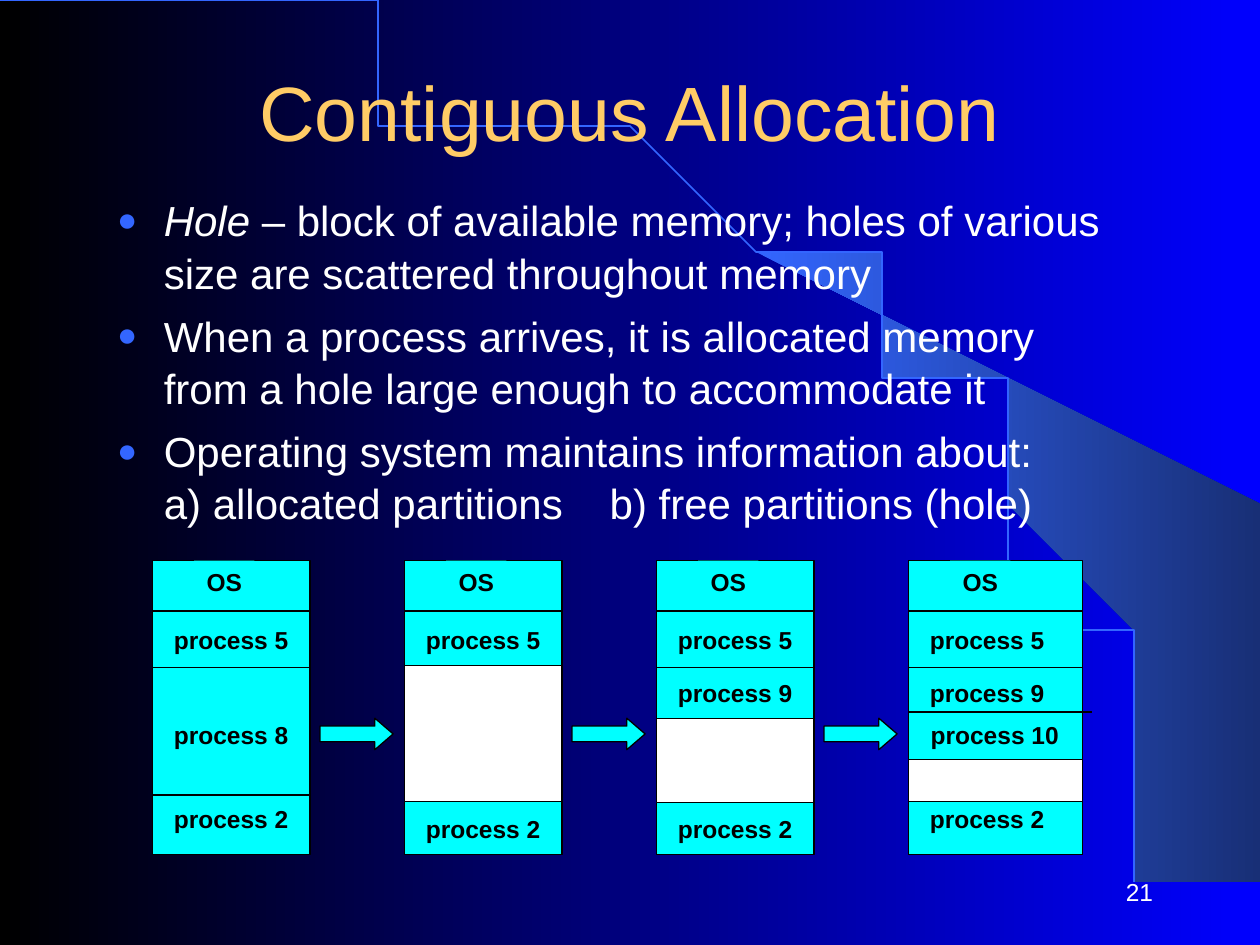
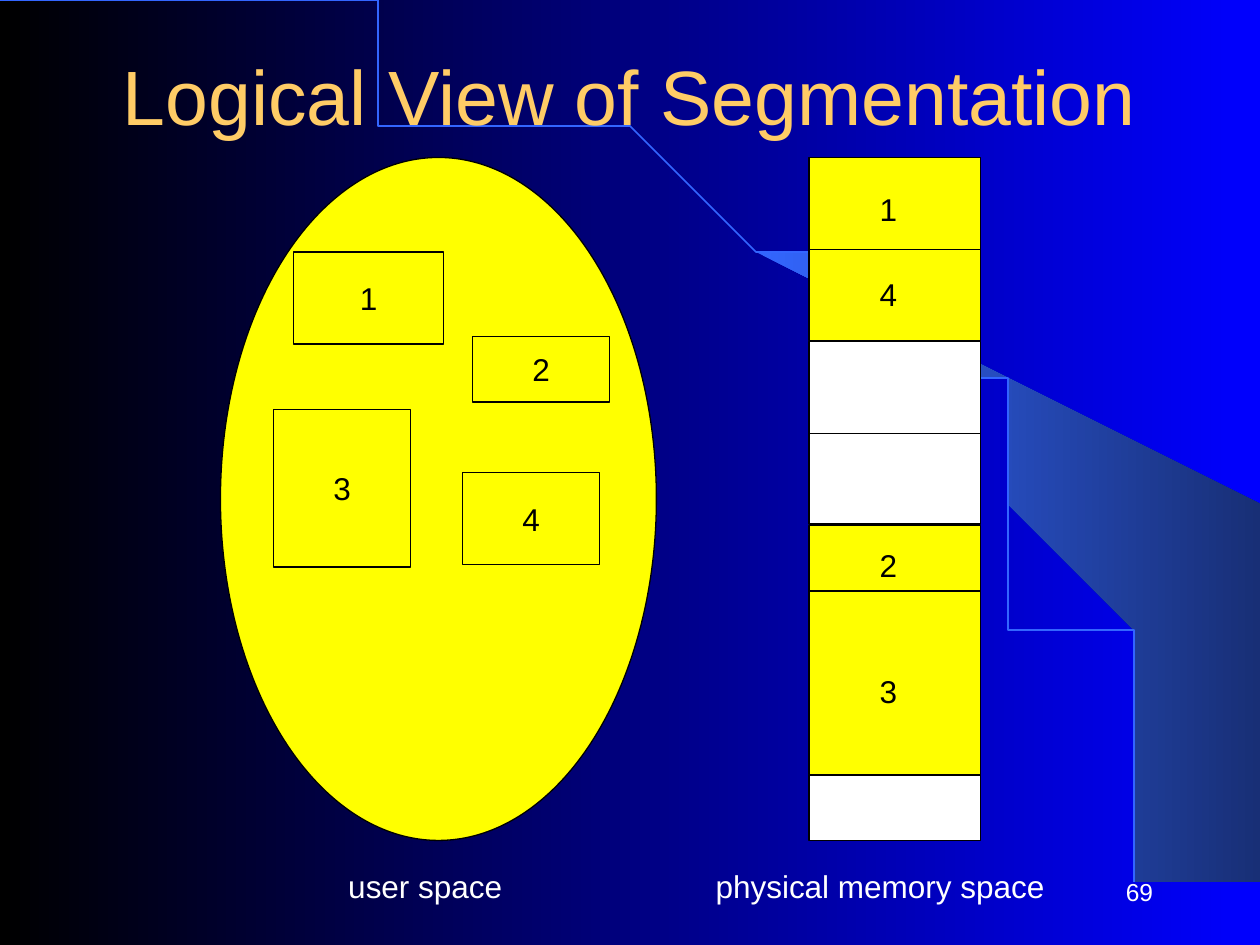
from lxml.etree import SubElement
from pptx import Presentation
from pptx.dml.color import RGBColor
from pptx.enum.shapes import MSO_CONNECTOR, MSO_SHAPE as SHAPE
from pptx.enum.text import MSO_ANCHOR as ANCHOR, MSO_AUTO_SIZE as AUTO, PP_ALIGN as ALIGN
from pptx.oxml.ns import qn
from pptx.util import Inches, Pt

COLORS = {
    "black": "000000", "white": "FFFFFF", "blue": "0000FF", "sky": "3366FF",
    "navy": "182F76", "gold": "FFCC66", "cyan": "00FFFF", "yellow": "FFFF00",
}
FONT = "Arial"
EMU_PER_INCH = Inches(1)
BEAM = [
    (9.2, 7.48), (9.98, 7.48), (9.98, 4.23), (5.89, 1.73), (6.24, 1.99), (6.53, 2.22),
    (6.85, 2.5), (7.16, 2.8), (7.62, 3.3), (8.03, 3.84), (8.32, 4.31), (8.58, 4.79),
    (8.78, 5.27), (8.93, 5.72), (9.03, 6.09), (9.12, 6.55), (9.17, 6.96),
]
ARC = [(0, 0), (5.08, 0), (9.19, 3.35), (9.19, 7.48)]

# Memory snapshots: width, dividers, process labels (name, top), hole (top, height)
SNAPSHOTS = [
    (1.25, [4.85, 5.3, 6.31],
     [("process 5", 4.91), ("process 8", 5.66), ("process 2", 6.33)], None),
    (1.25, [4.85],
     [("process 5", 4.91), ("process 2", 6.41)], (5.28, 1.08)),
    (1.25, [4.85, 5.3],
     [("process 5", 4.91), ("process 9", 5.33), ("process 2", 6.41)], (5.7, 0.67)),
    (1.38, [4.85, 5.3],
     [("process 5", 4.91), ("process 9", 5.33), ("process 10", 5.66), ("process 2", 6.33)],
     (6.03, 0.33)),
]
# Segments in user space: name, left, top, width, height
SEGMENTS = [
    ("1", 2.33, 2, 1.19, 0.73), ("3", 2.17, 3.25, 1.09, 1.25),
    ("2", 3.75, 2.67, 1.09, 0.52), ("4", 3.67, 3.75, 1.09, 0.73),
]
# Physical memory: colour, top, height, divider
BLOCKS = [
    ("yellow", 1.25, 1.45, 1.98), ("white", 2.71, 1.45, 3.44),
    ("yellow", 4.17, 1.98, 4.69), ("white", 6.15, 0.52, None),
]
PLACED = [("1", 1.46), ("4", 2.13), ("2", 4.28), ("3", 5.28)]


def rgb(name):
    return RGBColor.from_string(COLORS[name])


def box(x, y, w, h):
    return [Inches(v) for v in (x, y, w, h)]


def set_gradient(fill, start, end):
    fill.gradient()
    fill.gradient_angle = 0
    for stop, color in zip(fill.gradient_stops, (start, end)):
        stop.color.rgb = rgb(color)


def set_line(line, color="black", width=0.75):
    line.color.rgb = rgb(color)
    line.width = Pt(width)


def style_run(r, color, size, **formats):
    r.font.color.rgb = rgb(color)
    for name, value in dict(name=FONT, size=Pt(size), **formats).items():
        setattr(r.font, name, value)


def write(s, text, color, size, align=ALIGN.CENTER, wrap=False, **formats):
    tf = s.text_frame
    frame = {"auto_size": AUTO.NONE, "word_wrap": wrap, "vertical_anchor": ANCHOR.MIDDLE}
    for name, value in frame.items():
        setattr(tf, name, value)
    p = tf.paragraphs[0]
    p.alignment = align
    r = p.add_run()
    r.text = text
    style_run(r, color, size, **formats)


def add_block(slide, kind, bounds, fill, outlined=True):
    s = slide.shapes.add_shape(kind, *box(*bounds))
    s.shadow.inherit = False
    s.fill.solid()
    s.fill.fore_color.rgb = rgb(fill)
    if outlined:
        set_line(s.line)
    else:
        s.line.fill.background()
    return s


def add_label(slide, text, bounds, fill, size, **formats):
    s = add_block(slide, SHAPE.RECTANGLE, bounds, fill, outlined=False)
    write(s, text, "black", size, **formats)


def add_divider(slide, x, y, width):
    ends = [Inches(v) for v in (x, y, x + width, y)]
    s = slide.shapes.add_connector(MSO_CONNECTOR.STRAIGHT, *ends)
    set_line(s.line)
    SubElement(s.element.spPr, qn("a:effectLst"))


def add_text(slide, text, bounds, size, align=ALIGN.CENTER):
    s = slide.shapes.add_textbox(*box(*bounds))
    write(s, text, "white", size, align)


def place(s, bounds):
    s.left, s.top, s.width, s.height = box(*bounds)


def new_slide(prs, layout, title, title_height, number):
    slide = prs.slides.add_slide(prs.slide_layouts[layout])
    s = slide.shapes.title
    place(s, (0.75, 0.25, 8.5, title_height))
    write(s, title, "gold", 44, wrap=True)
    add_text(slide, number, (7.17, 6.83, 2.08, 0.5), 14, ALIGN.RIGHT)
    return slide


def arc_point(t):
    weights = ((1 - t) ** 3, 3 * t * (1 - t) ** 2, 3 * t ** 2 * (1 - t), t ** 3)
    return tuple(sum(w * pt[axis] for w, pt in zip(weights, ARC)) for axis in (0, 1))


def add_outline(slide, points, close):
    builder = slide.shapes.build_freeform(*points[0], scale=EMU_PER_INCH)
    builder.add_line_segments(points[1:], close=close)
    s = builder.convert_to_shape()
    s.shadow.inherit = False
    return s


def decorate_master(prs, slide):
    """Draw the beam and the arc, then move them to the slide master."""
    master = prs.slide_master
    set_gradient(master.background.fill, "black", "blue")
    beam = add_outline(slide, BEAM, True)
    set_gradient(beam.fill, "sky", "navy")
    beam.line.fill.background()
    arc = add_outline(slide, [arc_point(i / 60) for i in range(61)], False)
    arc.fill.background()
    set_line(arc.line, "sky", 1)
    for shape_id, s in enumerate((beam, arc), 20):
        s.element.nvSpPr.cNvPr.set("id", str(shape_id))
        master.shapes.element.append(s.element)


def set_bullet(p):
    pPr = p._p.get_or_add_pPr()
    pPr.set("marL", str(Inches(0.37)))
    pPr.set("indent", str(-Inches(0.37)))
    SubElement(SubElement(pPr, qn("a:buClr")), qn("a:srgbClr"), val=COLORS["sky"])
    SubElement(pPr, qn("a:buSzPct"), val="80000")
    SubElement(pPr, qn("a:buFont"), typeface=FONT)
    SubElement(pPr, qn("a:buChar"), char="●")


def add_bullet(p, *parts):
    """Parts are (text, formats); a None part is a line break."""
    p.space_before = Pt(6)
    p.line_spacing = 1.04
    set_bullet(p)
    for part in parts:
        if part is None:
            p.add_line_break()
            continue
        text, formats = part
        r = p.add_run()
        r.text = text
        style_run(r, "white", 24, **formats)
        if text == " ":  # wide gap between the two options
            r._r.get_or_add_rPr().set("spc", "2000")


def add_bullets(slide, items):
    s = slide.placeholders[1]
    place(s, (0.83, 1.48, 8.04, 2.85))
    tf = s.text_frame
    tf.auto_size = AUTO.NONE
    tf.vertical_anchor = ANCHOR.TOP
    for i, parts in enumerate(items):
        add_bullet(tf.add_paragraph() if i else tf.paragraphs[0], *parts)


def add_snapshot(slide, x, width, dividers, labels, hole):
    add_block(slide, SHAPE.RECTANGLE, (x, 4.45, width, 2.33), "cyan")
    for y in dividers:
        add_divider(slide, x, y, width)
    add_label(slide, "OS", (x + 0.33, 4.45, 0.48, 0.34), "cyan", 14, bold=True)
    for name, y in labels:
        label_width = 1.29 if name == "process 10" else 1.17
        add_label(slide, name, (x + 0.04, y, label_width, 0.34), "cyan", 14, bold=True)
    if hole:
        add_block(slide, SHAPE.RECTANGLE, (x, hole[0], width, hole[1]), "white")


def build_allocation(prs):
    slide = new_slide(prs, 1, "Contiguous Allocation", 1.25, "21")
    decorate_master(prs, slide)
    add_bullets(slide, [
        [("Hole", {"italic": True}),
         (" – block of available memory; holes of various size are scattered "
          "throughout memory", {})],
        [("When a process arrives, it is allocated memory from a hole large enough "
          "to accommodate it", {})],
        [("Operating system maintains information about:", {}), None,
         ("a) allocated partitions", {}), (" ", {}), ("b) free partitions (hole)", {})],
    ])
    for i, snapshot in enumerate(SNAPSHOTS):
        x = 1.21 + 2 * i
        add_snapshot(slide, x, *snapshot)
        if i:
            s = add_block(slide, SHAPE.RIGHT_ARROW, (x - 0.67, 5.7, 0.58, 0.25), "cyan")
            s.adjustments[1] = 0.58
    # Split between process 9 and process 10
    add_divider(slide, 7.21, 5.65, 1.46)


def build_segmentation(prs):
    slide = new_slide(prs, 5, "Logical View of Segmentation", 1, "69")
    # User space
    add_block(slide, SHAPE.OVAL, (1.75, 1.25, 3.46, 5.42), "yellow")
    for name, *bounds in SEGMENTS:
        s = add_block(slide, SHAPE.RECTANGLE, bounds, "yellow")
        write(s, name, "black", 18)
    # Physical memory
    x, width = 6.42, 1.36
    for color, y, height, divider in BLOCKS:
        add_block(slide, SHAPE.RECTANGLE, (x, y, width, height), color)
        if divider:
            add_divider(slide, x, divider, width)
    for name, y in PLACED:
        add_label(slide, name, (6.88, y, 0.34, 0.4), "yellow", 18)
    # Captions
    add_text(slide, "user space", (2.63, 6.83, 1.49, 0.4), 18)
    add_text(slide, "physical memory space", (5.58, 6.83, 2.81, 0.4), 18)


def main():
    prs = Presentation()
    prs.slide_width, prs.slide_height = Inches(10), Inches(7.5)
    build_allocation(prs)
    build_segmentation(prs)
    prs.save("out.pptx")


if __name__ == "__main__":
    main()
